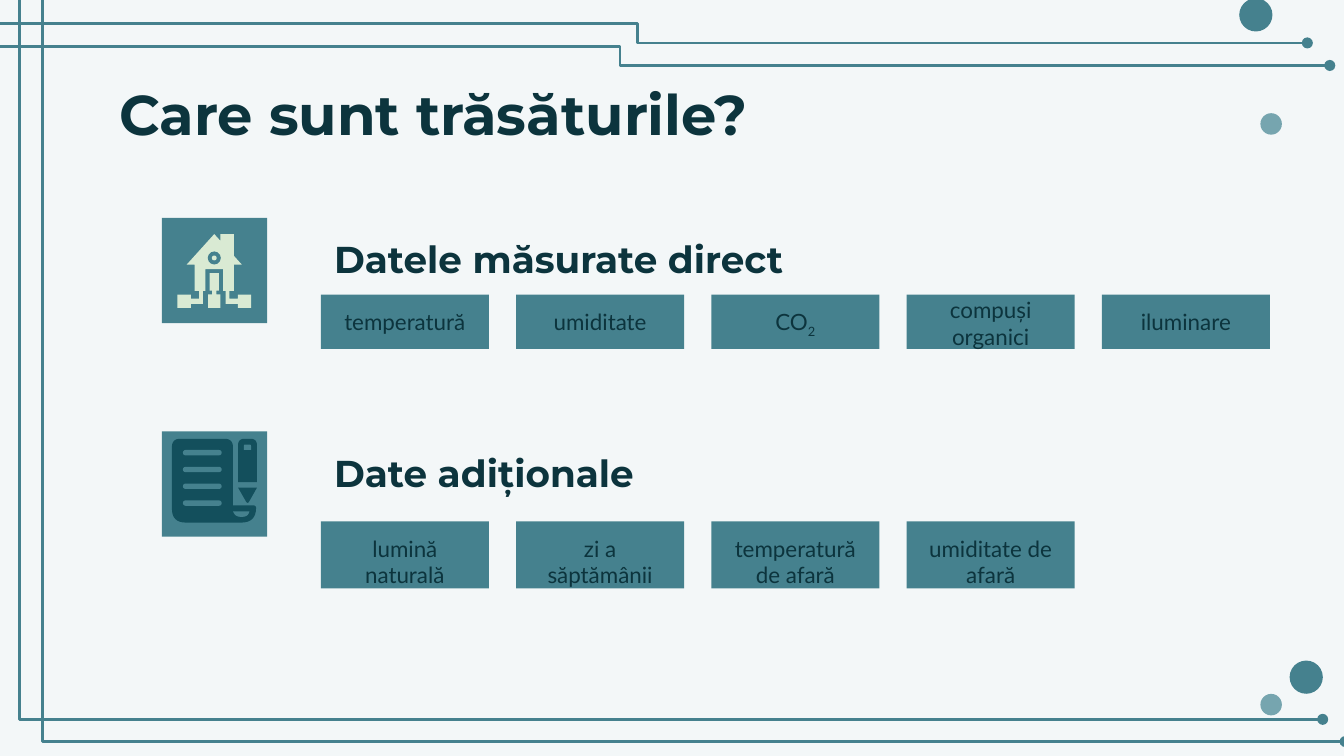
from dataclasses import dataclass
from lxml.etree import SubElement
from pptx import Presentation
from pptx.dml.color import RGBColor
from pptx.enum.shapes import MSO_CONNECTOR, MSO_SHAPE
from pptx.enum.text import MSO_ANCHOR, PP_ALIGN
from pptx.oxml.ns import qn
from pptx.util import Pt


@dataclass(frozen=True)
class Theme:
    back: str = "F3F7F8"
    teal: str = "45818E"
    pale: str = "76A5AF"
    ink: str = "0C343D"
    deep: str = "134F5C"
    mint: str = "D9EAD3"
    head: str = "Montserrat"
    body: str = "Lato"
    title: int = 30
    sub: int = 20
    label: int = 12


T = Theme()
TILE, CELL, STEP = 56.4, 90, 104.6


def put(item, values):
    for name, value in values.items():
        setattr(item, name, value)


def paint(shape, color):
    shape.shadow.inherit = False
    shape.fill.solid()
    shape.fill.fore_color.rgb = RGBColor.from_string(color)
    shape.line.fill.background()
    return shape


def block(slide, kind, box, color):
    return paint(slide.shapes.add_shape(kind, *map(Pt, box)), color)


def outline(slide, box, points, color):
    """Filled polygon with points relative to the box."""
    left, top = box[:2]
    spots = [(Pt(left + x), Pt(top + y)) for x, y in points]
    pen = slide.shapes.build_freeform(*spots[0], scale=1.0)
    pen.add_line_segments(spots[1:], close=True)
    return paint(pen.convert_to_shape(), color)


def soften(corners, steps=8):
    """Turn (x, y, radius) corners into points along rounded corners."""
    points = []
    for i, (x, y, r) in enumerate(corners):
        if not r:
            points.append((x, y))
            continue
        ends = []
        for nx, ny, _ in (corners[i - 1], corners[(i + 1) % len(corners)]):
            part = r / ((nx - x) ** 2 + (ny - y) ** 2) ** 0.5
            ends.append((x + (nx - x) * part, y + (ny - y) * part))
        (ax, ay), (bx, by) = ends
        for k in range(steps + 1):
            t = k / steps
            u, v, w = (1 - t) ** 2, 2 * t * (1 - t), t ** 2
            points.append((u * ax + v * x + w * bx, u * ay + v * y + w * by))
    return points


def write(slide, box, runs, size, font, bold=False, para=None, frame=None):
    """Text box; each run is a (text, baseline) pair."""
    text = slide.shapes.add_textbox(*map(Pt, box)).text_frame
    edges = ("margin_left", "margin_top", "margin_right", "margin_bottom")
    put(text, {"word_wrap": True, **dict.fromkeys(edges, Pt(7.2)), **(frame or {})})
    line = text.paragraphs[0]
    put(line, para or {})
    for words, base in runs:
        run = line.add_run()
        run.text = words
        put(run.font, {"size": Pt(size), "name": font, "bold": bold})
        run.font.color.rgb = RGBColor.from_string(T.ink)
        if base:
            run.font._element.set("baseline", str(base))


def wire(slide, box, bend):
    """Elbow line across the box, turning at the given share of its width."""
    x, y, w, h = box
    line = slide.shapes.add_connector(
        MSO_CONNECTOR.ELBOW, Pt(x), Pt(y), Pt(x + w), Pt(y + h))
    line.line.width = Pt(1.5)
    line.line.color.rgb = RGBColor.from_string(T.teal)
    props = line._element.spPr
    guides = props.find(qn("a:prstGeom")).get_or_add_avLst()
    SubElement(guides, qn("a:gd"), name="adj1", fmla=f"val {round(bend * 100000)}")
    SubElement(props.find(qn("a:ln")), qn("a:tailEnd"), type="oval")
    SubElement(props, qn("a:effectLst"))


def frame(slide, box):
    left, top, width, height = box
    for x, y, w, h, bend in (
        (5, -46.6, 703.6, 432, 0.008),
        (-17, 12.8, 717.4, 10.2, 0.5),
        (-5, 24.9, 717.4, 10.2, 0.47),
        (17, -34.7, 703.6, 432, 0.008),
    ):
        wire(slide, (left + x, top + y, w, h), bend)
    right, base = left + width, top + height
    for x, y, size, color in (
        (right - 39, base - 27.5, 11.5, T.pale),
        (right - 20.2, base - 42.2, 17.8, T.teal),
        (right - 39, top + 66.4, 11.5, T.pale),
        (right - 47.2, top + 8, 17.8, T.teal),
    ):
        block(slide, MSO_SHAPE.OVAL, (x - size / 2, y - size / 2, size, size), color)


def house(slide, box):
    x, y, w, h = box
    mid = 28.1

    def flip(points):
        return [(2 * mid - px, py) for px, py in reversed(points)]

    def disc(size, color):
        spot = (x + mid - size / 2, y + 21.4 - size / 2, size, size)
        block(slide, MSO_SHAPE.OVAL, spot, color)

    side = [(13.3, 25), (17.6, 25), (17.6, 39), (20, 39), (20, 43.2),
            (15.5, 43.2), (15.5, 41), (8.3, 41), (8.3, 48.2), (15.5, 48.2),
            (15.5, 46), (22, 46), (22, 39), (23.4, 39), (23.4, 27.4)]
    flue = [(38.6, 20.2), (38.6, 8.6), (31.4, 8.6), (31.4, 12.2)]
    outline(slide, box, [(mid, 8.6)] + side + flip(side) + flue, T.mint)
    door = [(25.6, 29.5), (25.6, 39), (26.9, 39), (26.9, 41),
            (24.8, 41), (24.8, 48.2)]
    outline(slide, box, door + flip(door), T.mint)
    disc(7, T.teal)
    disc(2.6, T.mint)


def scroll(slide, box):
    x, y, w, h = box
    for color, corners in (
        (T.deep, [(5.4, 3.9, 4.5), (38.1, 3.9, 4.5), (38.1, 39.6, 0),
                  (50.5, 39.6, 1.5), (50.5, 48.8, 8), (5.4, 48.8, 7.5)]),
        (T.teal, [(38.2, 42.8, 0), (47, 42.8, 0), (46, 45.7, 2.5),
                  (39.5, 45.7, 2.5)]),
        (T.deep, [(40.9, 30.1, 0), (51, 30.1, 0), (46, 39, 1.8)]),
        (T.deep, [(40.9, 3.9, 3.5), (51, 3.9, 3.5), (51, 27.1, 0), (40.9, 27.1, 0)]),
        (T.teal, [(44, 7, 0.7), (47.8, 7, 0.7), (47.8, 9.8, 0), (44, 9.8, 0)]),
    ):
        outline(slide, box, soften(corners), color)
    for row in range(4):
        bar = block(slide, MSO_SHAPE.ROUNDED_RECTANGLE,
                    (x + 11.3, y + 9.9 + 9 * row, 20.8, 2.9), T.teal)
        bar.adjustments[0] = 0.5


def group(slide, box, icon, head, drop, tall, items):
    """Icon, heading and a row of cells; items are (runs, text shift)."""
    x, y, w, h = box
    tile = (x, y, TILE, TILE)
    block(slide, MSO_SHAPE.RECTANGLE, tile, T.teal)
    icon(slide, tile)
    start = x + 85.2
    write(slide, (start, y + 12.2, 413, 28.8), [(head, 0)], T.sub, T.head, True,
          {"line_spacing": 1.15}, {"vertical_anchor": MSO_ANCHOR.BOTTOM})
    for i, (runs, shift) in enumerate(items):
        cell, top = start + STEP * i, y + drop
        block(slide, MSO_SHAPE.RECTANGLE, (cell, top, CELL, tall), T.teal)
        write(slide, (cell + 4, top + shift, CELL - 8, 28.8), runs, T.label,
              T.body, para={"alignment": PP_ALIGN.CENTER})


def main():
    deck = Presentation()
    put(deck, {"slide_width": Pt(720), "slide_height": Pt(405)})
    slide = deck.slides.add_slide(deck.slide_layouts[6])
    slide.background.fill.solid()
    slide.background.fill.fore_color.rgb = RGBColor.from_string(T.back)

    frame(slide, (0, 0, 720, 405))
    write(slide, (56.7, 35.2, 607, 45.4), [("Care sunt trăsăturile?", 0)],
          T.title, T.head, True)
    group(slide, (86.7, 116.8, 594, 71), house, "Datele măsurate direct", 41.1, 29, [
        ([("temperatură", 0)], 0),
        ([("umiditate", 0)], 0),
        ([("CO", 0), ("2", -25000)], 0),
        ([("compuși organici", 0)], -6.6),
        ([("iluminare", 0)], 0),
    ])
    extras = ("lumină naturală", "zi a săptămânii",
              "temperatură de afară", "umiditate de afară")
    group(slide, (86.7, 231.2, 594, 85), scroll, "Date adiționale", 48.1, 36,
          [([(name, 0)], 0) for name in extras])
    deck.save("out.pptx")


if __name__ == "__main__":
    main()
